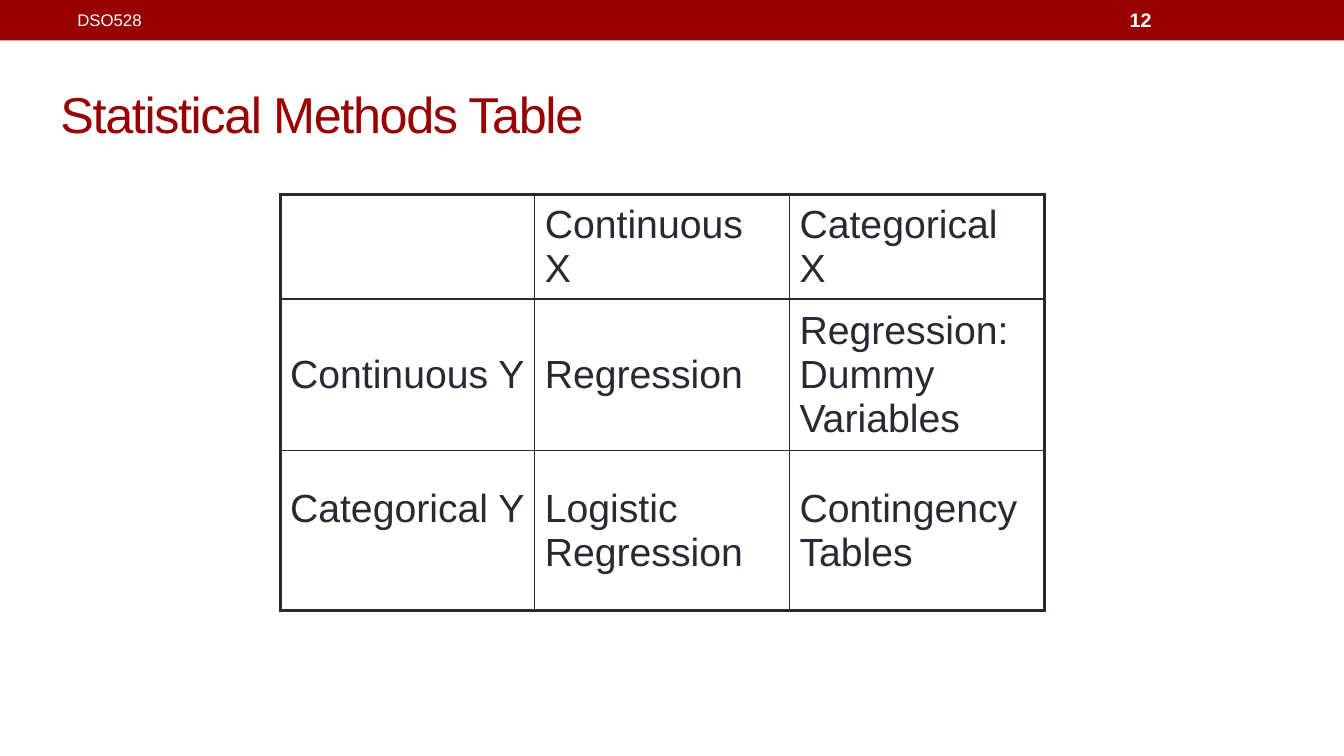
from lxml import etree
from pptx import Presentation
from pptx.dml.color import RGBColor
from pptx.enum.shapes import MSO_SHAPE
from pptx.enum.text import MSO_ANCHOR, MSO_AUTO_SIZE, PP_ALIGN
from pptx.oxml.ns import qn
from pptx.util import Cm, Pt

RECTANGLE = MSO_SHAPE.RECTANGLE
MIDDLE = MSO_ANCHOR.MIDDLE
LEFT = PP_ALIGN.LEFT
NO_FIT = MSO_AUTO_SIZE.NONE

COLORS = {"red": "990000", "white": "FFFFFF", "ink": "292934"}
FONT = "Arial"
OUTER, INNER = Pt(2.25), Pt(1)

COLUMN_WIDTH = Cm(6.42)
ROW_HEIGHTS = [Cm(2.62), Cm(3.81), Cm(4.04)]
METHODS = [
    ["", "Continuous X", "Categorical X"],
    ["Continuous Y", "Regression", "Regression: Dummy Variables"],
    ["Categorical Y", "Logistic Regression", "Contingency Tables"],
]


def rgb(name):
    return RGBColor.from_string(COLORS[name])


def write(frame, text, size, color, bold=False):
    frame.word_wrap = True
    para = frame.paragraphs[0]
    para.alignment = LEFT
    span = para.add_run()
    span.text = text
    span.font.name = FONT
    span.font.size = Pt(size)
    span.font.bold = bold
    span.font.color.rgb = rgb(color)
    return span


def add_band(page, width):
    band = page.shapes.add_shape(RECTANGLE, 0, 0, width, Cm(1.02))
    band.shadow.inherit = False
    band.fill.solid()
    band.fill.fore_color.rgb = rgb("red")
    band.line.fill.background()


def add_label(page, left, width, text, size, bold=False):
    box = page.shapes.add_textbox(left, Cm(0.05), width, Cm(0.91))
    box.text_frame.vertical_anchor = MIDDLE
    write(box.text_frame, text, size, "white", bold)


def set_title(page, text):
    title = page.shapes.title
    title.left, title.top = Cm(1.27), Cm(1.27)
    title.width, title.height = Cm(22.86), Cm(3.18)
    title.text_frame.auto_size = NO_FIT
    title.text_frame.vertical_anchor = MIDDLE
    span = write(title.text_frame, text, 36, "red")
    span.font._element.set("spc", "-100")


def add_border(cell, side, width):
    line = etree.SubElement(cell._tc.get_or_add_tcPr(), qn(f"a:ln{side}"), w=str(width))
    fill = etree.SubElement(line, qn("a:solidFill"))
    etree.SubElement(fill, qn("a:srgbClr"), val=COLORS["ink"])


def format_cell(cell, edges):
    for side, is_outer in edges.items():
        add_border(cell, side, OUTER if is_outer else INNER)
    cell.fill.solid()
    cell.fill.fore_color.rgb = rgb("white")
    cell.vertical_anchor = MIDDLE
    cell.margin_left = cell.margin_right = Cm(0.25)
    cell.margin_top = cell.margin_bottom = Cm(0.13)


def add_methods_table(page):
    last = len(METHODS) - 1
    frame = page.shapes.add_table(
        len(METHODS), len(METHODS[0]), Cm(7.06), Cm(4.9),
        COLUMN_WIDTH * len(METHODS[0]), sum(ROW_HEIGHTS),
    )
    table = frame.table
    table.first_row = False
    table.horz_banding = False
    for column in table.columns:
        column.width = COLUMN_WIDTH
    for r, texts in enumerate(METHODS):
        table.rows[r].height = ROW_HEIGHTS[r]
        for c, text in enumerate(texts):
            cell = table.cell(r, c)
            format_cell(cell, {"L": c == 0, "R": c == last, "T": r == 0, "B": r == last})
            if text:
                write(cell.text_frame, text, 28, "ink")
    table.cell(last, 0).margin_bottom = Cm(1.22)


def main():
    deck = Presentation()
    deck.slide_width, deck.slide_height = Cm(33.87), Cm(19.05)
    page = deck.slides.add_slide(deck.slide_layouts[5])
    add_band(page, deck.slide_width)
    add_label(page, Cm(1.7), Cm(10.72), "DSO528", 12)
    add_label(page, Cm(28.22), Cm(3.96), "12", 14, bold=True)
    set_title(page, "Statistical Methods Table")
    add_methods_table(page)
    deck.save("out.pptx")


if __name__ == "__main__":
    main()
